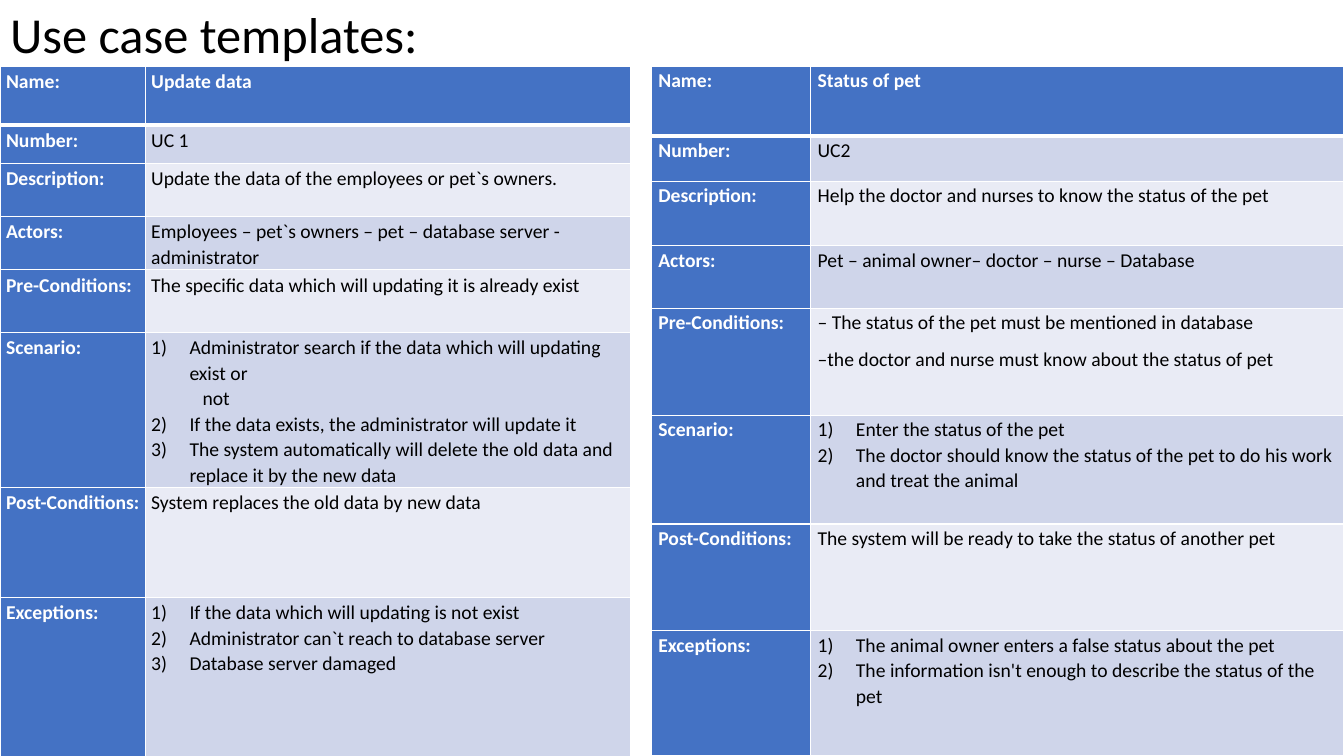
from dataclasses import dataclass

from lxml.etree import SubElement
from pptx import Presentation
from pptx.dml.color import RGBColor
from pptx.enum.text import MSO_ANCHOR, PP_ALIGN
from pptx.oxml.ns import qn
from pptx.util import Pt

PX = 9144  # EMU per px, 100 px to the inch
SLIDE_SIZE = (1333, 750)

TITLE = "Use case templates:"
TITLE_BOX = (0, 0, 1150, 74)

FIELDS = ["Name:", "Number:", "Description:", "Actors:", "Pre-Conditions:",
          "Scenario:", "Post-Conditions:", "Exceptions:"]


@dataclass
class Step:
    """A numbered line; start is the number its list begins with."""
    text: str
    start: int = 1


@dataclass
class Continuation:
    """An indented line that carries on the step above it."""
    text: str


USE_CASES = [
    {
        "box": (0, 66, 625, 684),
        "columns": [144, 481],
        "rows": [58, 38, 53, 51, 62, 150, 109, 163],
        "insets": (6, 2, 0, 0),
        "answers": [
            ["Update data"],
            ["UC 1"],
            ["Update the data of the employees or pet`s owners."],
            ["Employees – pet`s owners – pet – database server - administrator"],
            ["The specific data which will updating it is already exist"],
            [Step("Administrator search if the data which will updating exist or"),
             Continuation("not"),
             Step("If the data exists, the administrator will update it", start=2),
             Step("The system automatically will delete the old data and "
                  "replace it by the new data", start=2)],
            ["System replaces the old data by new data"],
            [Step("If the data which will updating is not exist"),
             Step("Administrator can`t reach to database server"),
             Step("Database server damaged")],
        ],
    },
    {
        "box": (646, 66, 687, 684),
        "columns": [158, 529],
        "rows": [69, 45, 64, 62, 106, 108, 106, 124],
        "insets": (7, 1, 7, 0),
        "answers": [
            ["Status of pet"],
            ["UC2"],
            ["Help the doctor and nurses to know the status of the pet"],
            ["Pet – animal owner– doctor – nurse – Database"],
            ["– The status of the pet must be mentioned in database",
             "–the doctor and nurse must know about the status of pet"],
            [Step("Enter the status of the pet"),
             Step("The doctor should know the status of the pet to do his work "
                  "and treat the animal")],
            ["The system will be ready to take the status of another pet"],
            [Step("The animal owner enters a false status about the pet"),
             Step("The information isn't enough to describe the status of the pet")],
        ],
    },
]


@dataclass(frozen=True)
class Theme:
    font: str = "Calibri"
    title_size: int = 36
    cell_size: int = 14
    ink: str = "000000"
    paper: str = "FFFFFF"
    header: str = "4472C4"
    bands: tuple = ("E9EBF5", "CFD5EA")
    rule: int = 1
    header_rule: int = 3
    step_indent: int = 38
    continuation_indent: int = 51
    paragraph_gap: int = 8


THEME = Theme()


def px(length):
    return length * PX


def write(frame, lines, *, size, color, bold=False, spacing=1.07, gap=0):
    """Fill a text frame with plain, numbered and continuation lines."""
    for index, line in enumerate(lines):
        paragraph = frame.paragraphs[0] if index == 0 else frame.add_paragraph()
        if isinstance(line, Step):
            number(paragraph, line.start, color)
        elif isinstance(line, Continuation):
            paragraph._p.get_or_add_pPr().set("marL", str(px(THEME.continuation_indent)))
        paragraph.alignment = PP_ALIGN.LEFT
        paragraph.line_spacing = spacing
        paragraph.space_before = Pt(gap if index else 0)
        run = paragraph.add_run()
        run.text = line if isinstance(line, str) else line.text
        run.font.name = THEME.font
        run.font.size = Pt(size)
        run.font.bold = bold
        run.font.color.rgb = RGBColor.from_string(color)


def number(paragraph, start, color):
    properties = paragraph._p.get_or_add_pPr()
    properties.set("marL", str(px(THEME.step_indent)))
    properties.set("indent", str(px(-THEME.step_indent)))
    bullet_color = SubElement(properties, qn("a:buClr"))
    SubElement(bullet_color, qn("a:srgbClr"), val=color)
    numbering = SubElement(properties, qn("a:buAutoNum"), type="arabicParenR")
    if start > 1:
        numbering.set("startAt", str(start))


def rule_cell(cell, row):
    widths = {"L": THEME.rule, "R": THEME.rule,
              "T": THEME.header_rule if row == 1 else THEME.rule,
              "B": THEME.header_rule if row == 0 else THEME.rule}
    properties = cell._tc.get_or_add_tcPr()
    for side, width in widths.items():
        border = SubElement(properties, qn(f"a:ln{side}"), w=str(Pt(width)))
        fill = SubElement(border, qn("a:solidFill"))
        SubElement(fill, qn("a:srgbClr"), val=THEME.paper)


def add_use_case(slide, use_case):
    table = slide.shapes.add_table(
        len(FIELDS), 2, *map(px, use_case["box"])).table
    for column, width in zip(table.columns, use_case["columns"]):
        column.width = px(width)
    for row, height in zip(table.rows, use_case["rows"]):
        row.height = px(height)

    for row, (field, answer) in enumerate(zip(FIELDS, use_case["answers"])):
        for column, lines in enumerate(([field], answer)):
            heading = row == 0 or column == 0
            cell = table.cell(row, column)
            (cell.margin_left, cell.margin_top,
             cell.margin_right, cell.margin_bottom) = map(px, use_case["insets"])
            rule_cell(cell, row)
            cell.fill.solid()
            cell.fill.fore_color.rgb = RGBColor.from_string(
                THEME.header if heading else THEME.bands[row % 2])
            write(cell.text_frame, lines, size=THEME.cell_size, bold=heading,
                  color=THEME.paper if heading else THEME.ink,
                  gap=THEME.paragraph_gap if isinstance(lines[0], str) else 0)


def main():
    deck = Presentation()
    deck.slide_width, deck.slide_height = map(px, SLIDE_SIZE)
    slide = deck.slides.add_slide(deck.slide_layouts.get_by_name("Title Only"))

    title = slide.shapes.title
    title.left, title.top, title.width, title.height = map(px, TITLE_BOX)
    title.text_frame.vertical_anchor = MSO_ANCHOR.MIDDLE
    write(title.text_frame, [TITLE], size=THEME.title_size, color=THEME.ink, spacing=0.9)

    for use_case in USE_CASES:
        add_use_case(slide, use_case)
    deck.save("out.pptx")


if __name__ == "__main__":
    main()
